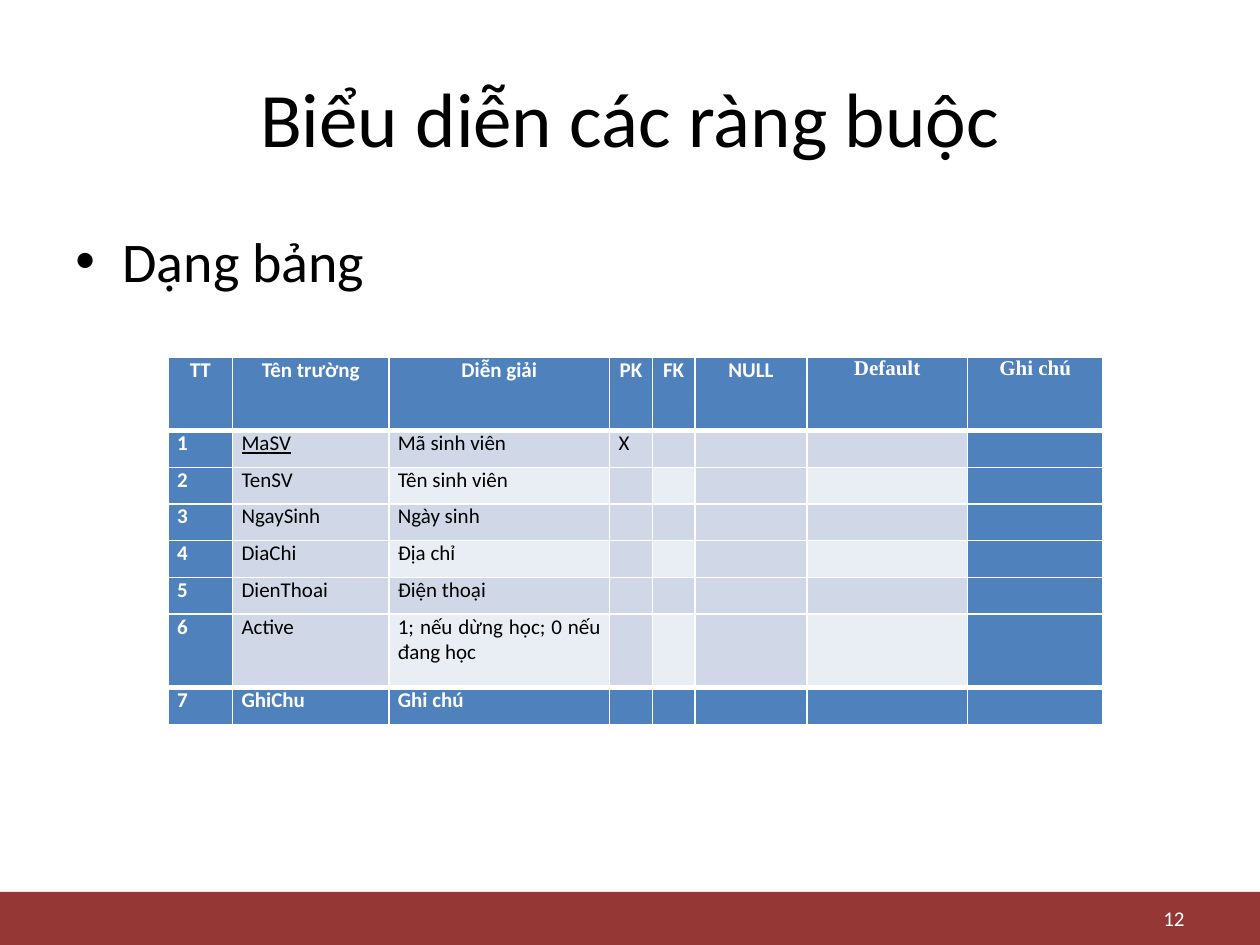
from lxml import etree
from pptx import Presentation
from pptx.dml.color import RGBColor
from pptx.enum.shapes import MSO_SHAPE
from pptx.enum.text import MSO_ANCHOR, PP_ALIGN
from pptx.oxml.ns import qn
from pptx.util import Cm, Pt

RECT = MSO_SHAPE.RECTANGLE
MIDDLE, TOP = MSO_ANCHOR.MIDDLE, MSO_ANCHOR.TOP
LEFT, CENTER = PP_ALIGN.LEFT, PP_ALIGN.CENTER
RIGHT, JUSTIFY = PP_ALIGN.RIGHT, PP_ALIGN.JUSTIFY

BLACK, WHITE = "000000", "FFFFFF"
BLUE, DARK, PALE, RED = "4F81BD", "D0D8E8", "E9EDF4", "953735"
SANS, SERIF = "Calibri", "Times New Roman"

TITLE = "Biểu diễn các ràng buộc"
POINT = "Dạng bảng"
PAGE = "12"
HEAD = ["TT", "Tên trường", "Diễn giải", "PK", "FK", "NULL", "Default", "Ghi chú"]
FIELDS = [
    ("MaSV", "Mã sinh viên", "X"),
    ("TenSV", "Tên sinh viên"),
    ("NgaySinh", "Ngày sinh"),
    ("DiaChi", "Địa chỉ"),
    ("DienThoai", "Điện thoại"),
    ("Active", "1; nếu dừng học; 0 nếu đang học"),
    ("GhiChu", "Ghi chú"),
]
WIDTHS = [1.3, 3.15, 4.45, 0.86, 0.86, 2.26, 3.23, 2.74]
HEIGHT = 0.74
TALL = (0, 6)


def color(code):
    """Turn a hex string into a colour."""
    return RGBColor.from_string(code)


def style(para, size, code, align, bold=False, face=SANS):
    """Format a paragraph and its runs."""
    para.alignment = align
    for run in para.runs:
        font = run.font
        font.size, font.name, font.bold = Pt(size), face, bold
        font.color.rgb = color(code)


def add_text(slide, text, box, size, code, align, anchor):
    """Add a wrapping text box and return its paragraph."""
    frame = slide.shapes.add_textbox(*map(Cm, box)).text_frame
    frame.word_wrap = True
    frame.vertical_anchor = anchor
    frame.text = text
    para = frame.paragraphs[0]
    style(para, size, code, align)
    return para


def add_bullet(para, indent):
    """Give a paragraph a round bullet and a hanging indent."""
    props = para._p.get_or_add_pPr()
    props.set("marL", str(Cm(indent)))
    props.set("indent", str(-Cm(indent)))
    etree.SubElement(props, qn("a:buFont"), typeface="Arial")
    etree.SubElement(props, qn("a:buChar"), char="•")


def add_edges(cell, top, bottom):
    """Draw white borders round a cell."""
    props = cell._tc.get_or_add_tcPr()
    for side, width in (("L", 1), ("R", 1), ("T", top), ("B", bottom)):
        line = etree.SubElement(props, qn("a:ln" + side), w=str(Pt(width)))
        fill = etree.SubElement(line, qn("a:solidFill"))
        etree.SubElement(fill, qn("a:srgbClr"), val=WHITE)


def fill_cell(cell, text, row, col, last):
    """Write and format one cell by its place in the table."""
    edge = row in (0, last)
    strong = edge or col in (0, len(HEAD) - 1)
    light = row % 2 == 0 and col in (2, 4, 6)
    add_edges(cell, 3 if row in (1, last) else 1, 3 if row in (0, last - 1) else 1)
    cell.fill.solid()
    cell.fill.fore_color.rgb = color(BLUE if strong else PALE if light else DARK)
    cell.margin_left = cell.margin_right = Cm(0.18)
    cell.margin_top = cell.margin_bottom = 0
    para = cell.text_frame.paragraphs[0]
    if not text:
        etree.SubElement(para._p, qn("a:endParaRPr"), sz="1200")
        return
    para.text = text
    align = CENTER if row == 0 else LEFT if col == 1 else JUSTIFY
    face = SERIF if row == 0 and col > 5 else SANS
    style(para, 12, WHITE if strong else BLACK, align, strong, face)
    if row == 0 or col != 1:
        para.space_after = Pt(6)
    if (row, col) == (1, 1):
        para.runs[0].font.underline = True


def add_grid(slide, left, top):
    """Add the table of fields."""
    rows = [HEAD] + [(str(i), *field) for i, field in enumerate(FIELDS, 1)]
    heights = [HEIGHT * (2 if i in TALL else 1) for i in range(len(rows))]
    box = map(Cm, (left, top, sum(WIDTHS), sum(heights)))
    table = slide.shapes.add_table(len(rows), len(HEAD), *box).table
    table.horz_banding = False
    for column, width in zip(table.columns, WIDTHS):
        column.width = Cm(width)
    for i, values in enumerate(rows):
        table.rows[i].height = Cm(heights[i])
        for j in range(len(HEAD)):
            text = values[j] if j < len(values) else ""
            fill_cell(table.cell(i, j), text, i, j, len(rows) - 1)


deck = Presentation()
deck.slide_width, deck.slide_height = Cm(25.4), Cm(19.05)
slide = deck.slides.add_slide(deck.slide_layouts[5])

title = slide.shapes.title
title.left, title.top, title.width, title.height = map(Cm, (1.27, 0.76, 22.86, 3.18))
title.text_frame.text = TITLE
title.text_frame.vertical_anchor = MIDDLE
style(title.text_frame.paragraphs[0], 44, BLACK, CENTER)

band = slide.shapes.add_shape(RECT, 0, Cm(17.98), Cm(25.4), Cm(1.07))
band.shadow.inherit = False
band.fill.solid()
band.fill.fore_color.rgb = color(RED)
band.line.fill.background()

point = add_text(slide, POINT, (1.27, 4.45, 22.86, 12.57), 32, BLACK, LEFT, TOP)
point.space_before = Pt(6.4)
add_bullet(point, 0.95)

add_grid(slide, 3.39, 7.2)
add_text(slide, PAGE, (18.21, 18.16, 5.92, 0.69), 12, WHITE, RIGHT, MIDDLE)

deck.save("out.pptx")
